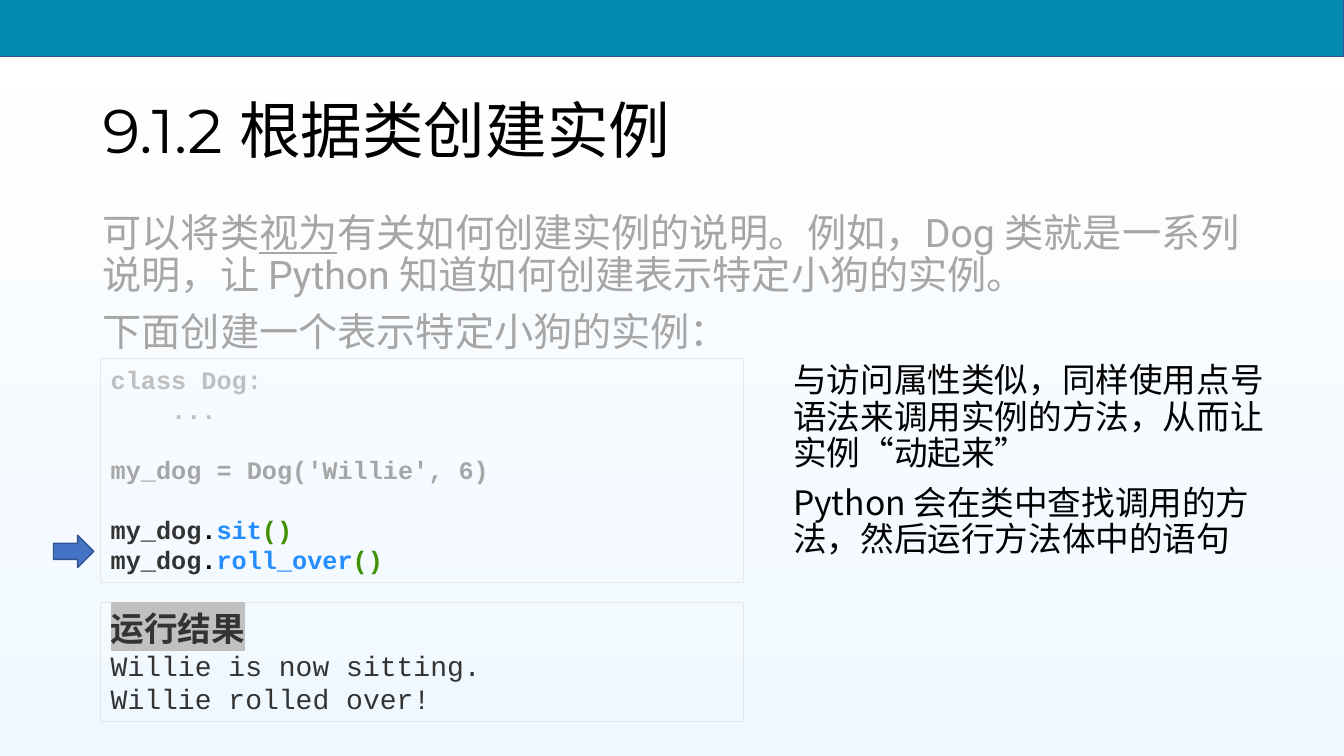
from pptx import Presentation
from pptx.dml.color import RGBColor as RGB
from pptx.enum.shapes import MSO_SHAPE as SHAPE
from pptx.enum.text import MSO_ANCHOR as ANCHOR, PP_ALIGN as ALIGN
from pptx.oxml import parse_xml
from pptx.oxml.ns import nsdecls
from pptx.util import Inches, Pt

BLACK = RGB(0x00, 0x00, 0x00)
WHITE = RGB(0xFF, 0xFF, 0xFF)
ICE = RGB(0xF0, 0xF8, 0xFF)
TEAL = RGB(0x00, 0x8A, 0xB1)
BLUE = RGB(0x44, 0x72, 0xC4)
NAVY = RGB(0x32, 0x54, 0x91)
EDGE = RGB(0xE7, 0xE6, 0xE6)
GRAY = RGB(0xA6, 0xA6, 0xA6)
PALE = RGB(0xBF, 0xBF, 0xBF)
DARK = RGB(0x33, 0x33, 0x33)
SKY = RGB(0x25, 0x8D, 0xFF)
GREEN = RGB(0x3F, 0x91, 0x01)
MONO = "Courier New"

deck = Presentation()
deck.slide_width, deck.slide_height = Inches(13.33), Inches(7.5)
slide = deck.slides.add_slide(deck.slide_layouts[6])
col, row = deck.slide_width / 100, deck.slide_height / 100

back = slide.background.fill
back.gradient()
back.gradient_angle = 270
for stop, tint, spot in zip(back.gradient_stops, (WHITE, ICE), (0, 1)):
    stop.color.rgb = tint
    stop.position = spot


def place(kind, x, y, w, h, fill=None, line=None, width=1):
    area = int(x * col), int(y * row), int(w * col), int(h * row)
    if kind is None:
        return slide.shapes.add_textbox(*area)
    shape = slide.shapes.add_shape(kind, *area)
    shape.shadow.inherit = False
    if fill is None:
        shape.fill.background()
    else:
        shape.fill.solid()
        shape.fill.fore_color.rgb = fill
    shape.line.color.rgb = line
    shape.line.width = Pt(width)
    return shape


def write(shape, lines, size, font, bold=False, space=None):
    frame = shape.text_frame
    frame.word_wrap = True
    frame.vertical_anchor = ANCHOR.TOP
    for i, parts in enumerate(lines):
        para = frame.add_paragraph() if i else frame.paragraphs[0]
        para.alignment = ALIGN.LEFT
        if space is not None:
            para.line_spacing = 0.9
            if i:
                para.space_before = Pt(space)
        for text, tint in parts:
            run = para.add_run()
            run.text = text
            run.font.size = Pt(size)
            run.font.bold = bold
            run.font.color.rgb = tint
            run.font.name = font
    return frame


place(SHAPE.RECTANGLE, -0.15, -0.27, 100.15, 7.73, TEAL, NAVY)

title = place(None, 6.9, 10.27, 86.25, 14.67)
frame = write(title, [[("9.1.2 根据类创建实例", BLACK)]], 44, "Montserrat", space=0)
frame.vertical_anchor = ANCHOR.MIDDLE

body = place(None, 6.9, 27.6, 86.25, 63.47)
frame = write(body, [
    [("可以将类", GRAY), ("视为", GRAY),
     ("有关如何创建实例的说明。例如，Dog 类就是一系列说明，"
      "让 Python 知道如何创建表示特定小狗的实例。", GRAY)],
    [("下面创建一个表示特定小狗的实例：", GRAY)],
], 28, "Roboto", space=10)
frame.paragraphs[0].runs[1].font.underline = True
frame.paragraphs[1].runs[0].font.name = MONO

place(SHAPE.RIGHT_ARROW, 3.98, 70.8, 3, 4.27, BLUE, NAVY)

calls = [[("my_dog", DARK), (".", BLACK), (name, SKY), ("()", GREEN)]
         for name in ("sit", "roll_over")]
code = place(SHAPE.RECTANGLE, 7.5, 47.47, 47.85, 29.6, line=EDGE, width=0.75)
frame = write(code, [
    [("class Dog:", PALE)],
    [("    ...", PALE)],
    [("my_dog = Dog('Willie', 6)", GRAY)],
    *calls,
], 18, MONO, bold=True)
for i in (2, 3):
    frame.paragraphs[i].space_before = Pt(21.4)

note = place(None, 58.28, 47.47, 37.8, 38.67)
write(note, [
    [("与访问属性类似，同样使用点号语法来调用实例的方法，从而让实例“动起来”", BLACK)],
    [("Python 会在类中查找调用的方法，然后运行方法体中的语句", BLACK)],
], 24, "Noto Sans CJK SC", space=10)

result = place(SHAPE.RECTANGLE, 7.5, 79.73, 47.85, 15.73, line=EDGE, width=0.75)
frame = write(result, [
    [("运行结果", DARK)],
    [("Willie is now sitting.", DARK)],
    [("Willie rolled over!", DARK)],
], 20, MONO)
head = frame.paragraphs[0].runs[0]
head.font.size = Pt(24)
head.font.bold = True
mark = parse_xml(f'<a:highlight {nsdecls("a")}><a:srgbClr val="C0C0C0"/></a:highlight>')
head.font._element.solidFill.addnext(mark)

deck.save("out.pptx")
